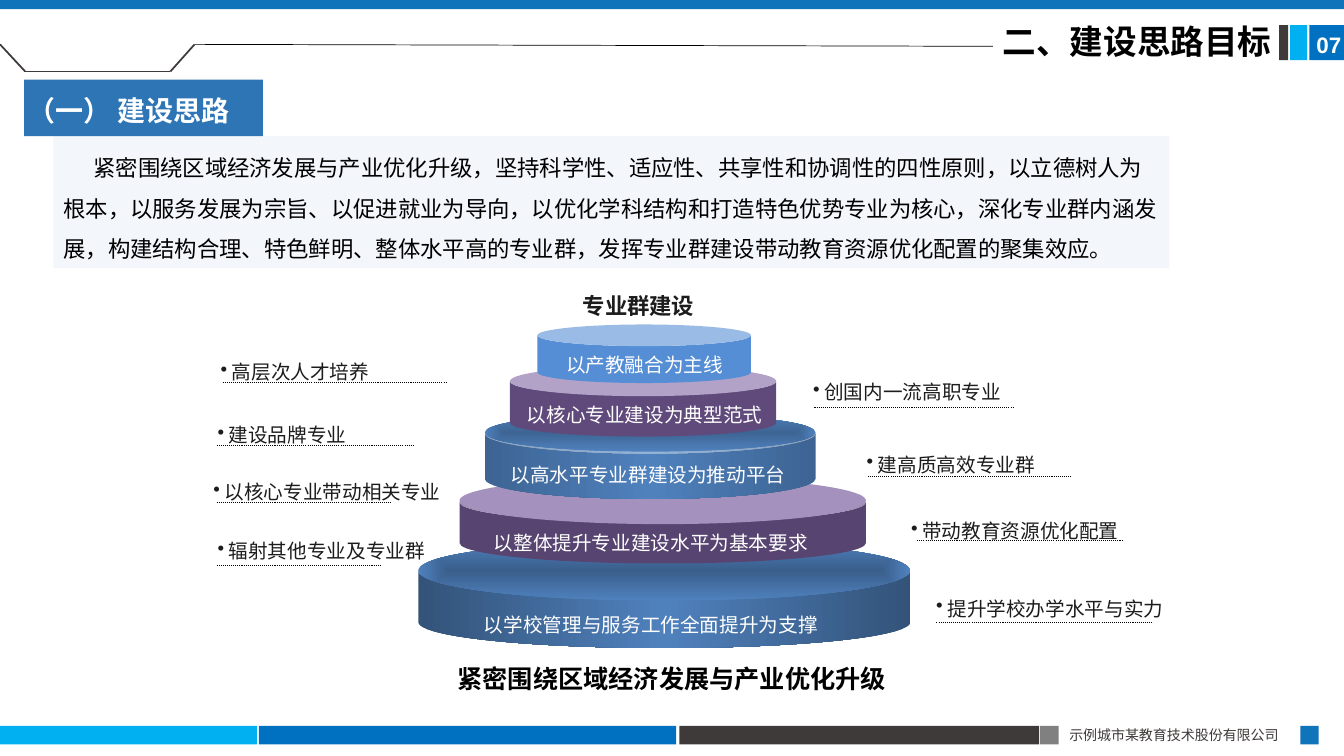
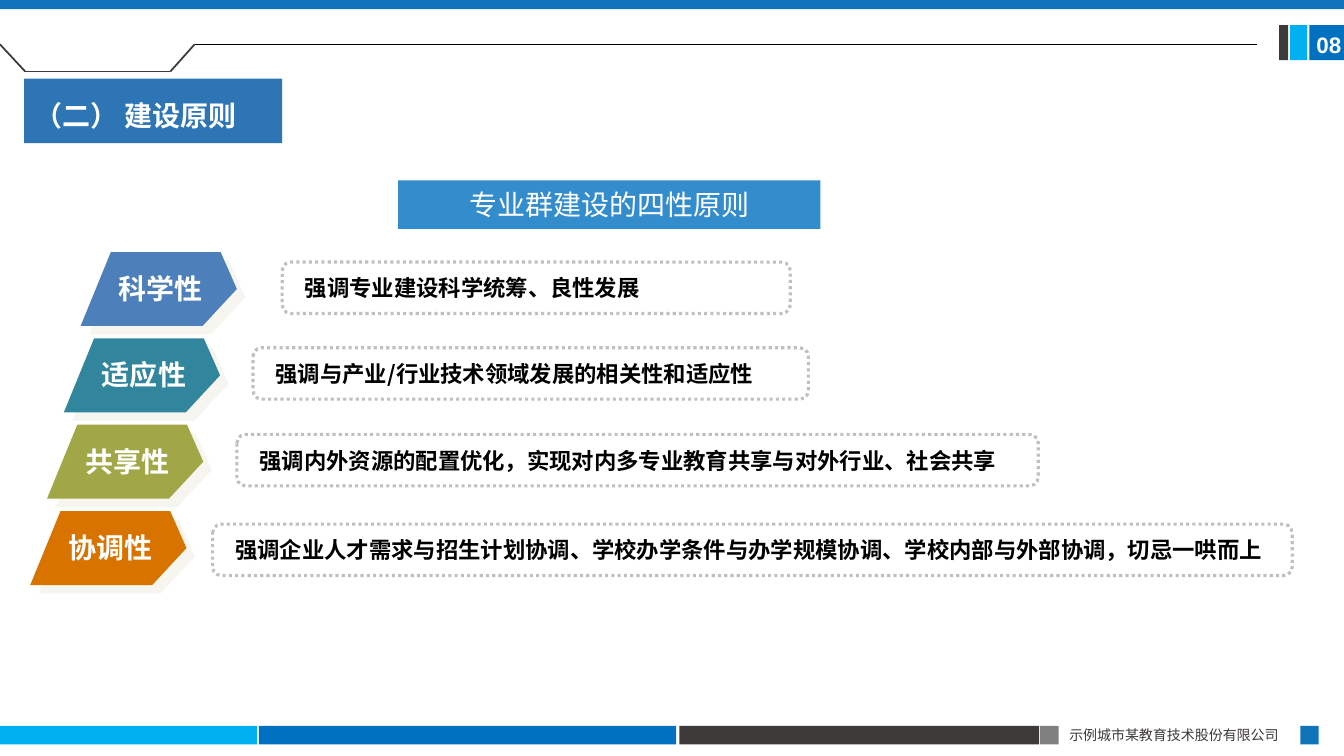
"""Build two slides on the thinking and principles of programme group construction."""
import itertools

import pptx
import pptx.dml.color
import pptx.enum.dml
import pptx.enum.shapes
import pptx.enum.text
import pptx.oxml
import pptx.oxml.ns
import pptx.util

Pt = pptx.util.Pt
SHAPE = pptx.enum.shapes.MSO_SHAPE
ALIGN = pptx.enum.text.PP_ALIGN
ANCHOR = pptx.enum.text.MSO_ANCHOR
qn = pptx.oxml.ns.qn
NAMESPACE = pptx.oxml.ns.nsdecls("a")

FONT = "Noto Sans CJK SC"
BLACK, WHITE, DARK, INK = "000000", "FFFFFF", "3E3A39", "1C1C1C"
BLUE, CYAN, BAND, HEADING, GRAY = "0070C0", "00B0F0", "1074BB", "2E75B6", "808080"
INSET = (7.2, 3.6, 7.2, 3.6)

TIERS = [
    ("以学校管理与服务工作全面提升为支撑", (298.8, 389.5, 351.4, 73.4), 0.5,
     ("335379", "4F81BD", "335379"), (385.9, 43.2), ("3A5F8C", "4F81BD"), 465, 434.2),
    ("以整体提升专业建设水平为基本要求", (328.3, 344.2, 290.2, 58.3), 0.5,
     "584470", (340.6, 33.8), "A591BD", 465, 375.8),
    ("以高水平专业群建设为推动平台", (346.3, 295.2, 236.2, 61.2), 0.47,
     ("3D6493", "4F81BD", "3D6493"), (295.2, 27.4), ("3D6493", "4F81BD"), 463, 326.9),
    ("以核心专业建设为典型范式", (364.3, 262.8, 190.1, 49), 0.4,
     "604A7B", (261.4, 21.6), "B3A2C7", 460.5, 284.4),
    ("以产教融合为主线", (383.8, 231.8, 152.6, 41.8), 0.37,
     "558ED5", None, None, 460.5, 248.4),
]

NOTES = [
    ("高层次人才培养", 150.5, 253.4, 159.1, 319.7, 272.9),
    ("建设品牌专业", 148.3, 298.8, 154.8, 295.2, 318.2),
    ("以核心专业带动相关专业", 145.4, 339.1, 154.8, 279.4, 358.6),
    ("辐射其他专业及专业群", 148.3, 381.6, 154.8, 272.2, 403.9),
    ("创国内一流高职专业", 573.8, 267.8, 581.8, 724.3, 290.9),
    ("建高质高效专业群", 612, 319.7, 619.9, 765.4, 340.6),
    ("带动教育资源优化配置", 643.7, 367.2, 655.2, 802.1, 385.9),
    ("提升学校办学水平与实力", 661.7, 422.6, 668.9, 823, 445),
]

PRINCIPLES = [
    ("科学性", "4D7FBB", "强调专业建设科学统筹、良性发展", 201.6, 187.2, 362.9),
    ("适应性", "31859C", "强调与产业/行业技术领域发展的相关性和适应性", 180.7, 248.4, 396.7),
    ("共享性", "A1A646", "强调内外资源的配置优化，实现对内多专业教育共享与对外行业、社会共享",
     169.2, 310.3, 572.4),
    ("协调性", "D97300",
     "强调企业人才需求与招生计划协调、学校办学条件与办学规模协调、学校内部与外部协调，切忌一哄而上",
     151.9, 374.4, 771.1),
]


def color(value):
    """Turn a hex string into a colour."""
    return pptx.dml.color.RGBColor.from_string(value)


def write_text(box, text, size=14, fill=BLACK, bold=False, font=FONT, align=ALIGN.LEFT,
               anchor=ANCHOR.TOP, inset=INSET, spacing=None, indent=0, bullet=None):
    """Write one formatted paragraph into a shape."""
    frame = box.text_frame
    frame.word_wrap = True
    frame.vertical_anchor = anchor
    frame.margin_left, frame.margin_top, frame.margin_right, frame.margin_bottom = map(Pt, inset)
    para = frame.paragraphs[0]
    para.alignment = align
    if spacing:
        para.line_spacing = spacing
    properties = para._p.get_or_add_pPr()
    properties.set("indent", str(Pt(indent)))
    if bullet:
        properties.set("marL", str(Pt(-indent)))
        properties.append(pptx.oxml.parse_xml(f'<a:buChar {NAMESPACE} char="{bullet}"/>'))
    span = para.add_run()
    span.text = text
    span.font.size = Pt(size)
    span.font.bold = bold
    span.font.color.rgb = color(fill)
    span.font.name = font
    span._r.get_or_add_rPr().append(
        pptx.oxml.parse_xml(f'<a:ea {NAMESPACE} typeface="{font}"/>'))


def add_text(slide, place, text, **style):
    """Add a text box."""
    write_text(slide.shapes.add_textbox(*map(Pt, place)), text, **style)


def gradient(stops):
    """Make a linear gradient from three colours or a centred one from two."""
    step = 100000 // (len(stops) - 1)
    marks = "".join(f'<a:gs pos="{index * step}"><a:srgbClr val="{stop}"/></a:gs>'
                    for index, stop in enumerate(stops))
    course = ('<a:lin ang="0" scaled="0"/>' if len(stops) == 3 else
              '<a:path path="shape"><a:fillToRect l="50000" t="50000" r="50000" b="50000"/></a:path>')
    return pptx.oxml.parse_xml(
        f'<a:gradFill {NAMESPACE}><a:gsLst>{marks}</a:gsLst>{course}</a:gradFill>')


def paint(shape, fill, alpha=None):
    """Give a shape a flat or gradient fill without outline or shadow."""
    shape.shadow.inherit = False
    shape.line.fill.background()
    shape.fill.solid()
    properties = shape._element.spPr
    solid = properties.find(qn("a:solidFill"))
    if isinstance(fill, tuple):
        properties.replace(solid, gradient(fill))
        return
    shape.fill.fore_color.rgb = color(fill)
    if alpha:
        solid[0].append(
            pptx.oxml.parse_xml(f'<a:alpha {NAMESPACE} val="{alpha * 1000}"/>'))


def add_shape(slide, place, fill, kind=SHAPE.RECTANGLE, alpha=None):
    """Add a filled preset shape."""
    shape = slide.shapes.add_shape(kind, *map(Pt, place))
    paint(shape, fill, alpha)
    return shape


def add_line(slide, start, end, stroke=BLACK, width=0.75, dotted=False):
    """Add a straight line."""
    line = slide.shapes.add_connector(
        pptx.enum.shapes.MSO_CONNECTOR.STRAIGHT, *map(Pt, start + end))
    line.line.color.rgb = color(stroke)
    line.line.width = Pt(width)
    if dotted:
        line.line.dash_style = pptx.enum.dml.MSO_LINE.ROUND_DOT
    line._element.spPr.append(pptx.oxml.parse_xml(f"<a:effectLst {NAMESPACE}/>"))


def add_frame(slide, number, rule_end):
    """Draw the bands, footer, tab outline and page number."""
    for left, width, fill in [(0, 183.6, CYAN), (185, 298, BLUE), (485.3, 257, DARK),
                              (743, 13.2, GRAY), (928.8, 13.2, BAND)]:
        add_shape(slide, (left, 518.5, width, 13.2), fill)
    add_text(slide, (756.7, 515.5, 172.8, 19.4), "示例城市某教育技术股份有限公司",
             size=10, fill=DARK, align=ALIGN.JUSTIFY)
    for left, width, fill in [(935.3, 24.7, BLUE), (921.6, 12.2, CYAN), (913.7, 6.5, DARK)]:
        add_shape(slide, (left, 18, width, 25), fill)
    add_shape(slide, (0, 0, 960, 6.5), BAND)
    tab = [(0, 31.7), (18, 51.1), (121.7, 51.1), (139, 31.7)]
    for start, end in itertools.pairwise(tab):
        add_line(slide, start, end, DARK, 1.25)
    add_line(slide, tab[-1], rule_end, width=0.5)
    add_text(slide, (940.3, 22.3, 19.7, 20), number, size=16, fill=WHITE, bold=True,
             font="Arial", inset=(0, 0, 0, 0))


def add_heading(slide, text, place, inset):
    """Add the blue section heading."""
    write_text(add_shape(slide, place, HEADING), text, size=20, fill=WHITE, bold=True,
               spacing=1.3, inset=inset)


def add_tier(slide, text, body, depth, fill, lid, lid_fill, center, top):
    """Add one drum of the tower with its lid and label."""
    drum = add_shape(slide, body, fill, SHAPE.CAN)
    drum.adjustments[0] = depth
    if lid:
        left, _, width, _ = body
        add_shape(slide, (left, lid[0], width, lid[1]), lid_fill, SHAPE.OVAL)
    add_text(slide, (center - 185, top, 370, 24.5), text, fill=WHITE, align=ALIGN.CENTER)


def add_note(slide, text, left, top, line_start, line_end, line_top):
    """Add a bulleted note over a dotted line."""
    add_text(slide, (left, top, 185, 24.5), text, fill=INK, bullet="•", indent=-8)
    add_line(slide, (line_start, line_top), (line_end, line_top), dotted=True)


def add_arrow(slide, left, top, text, fill):
    """Add a slanted arrow label with an offset shadow."""
    outline = [(21.6, 0), (100, 0), (111.6, 26.4), (87.1, 52.8), (0, 52.8)]
    corners = [(Pt(left + x), Pt(top + y)) for x, y in outline]
    builder = slide.shapes.build_freeform(*corners[0])
    builder.add_line_segments(corners[1:], close=True)
    arrow = builder.convert_to_shape()
    paint(arrow, fill)
    arrow._element.spPr.find(qn("a:effectLst")).append(pptx.oxml.parse_xml(
        f'<a:outerShdw {NAMESPACE} blurRad="0" dist="{Pt(8.5)}" dir="2700000" algn="tl" '
        'rotWithShape="0"><a:srgbClr val="EEECE1"><a:alpha val="50000"/></a:srgbClr></a:outerShdw>'))
    write_text(arrow, text, size=20, fill=WHITE, bold=True, inset=(27.2, 13.8, 0, 0))


def add_statement(slide, text, left, top, width):
    """Add a dotted rounded box with a bold statement."""
    box = slide.shapes.add_shape(SHAPE.ROUNDED_RECTANGLE, *map(Pt, (left, top, width, 36.7)))
    box.shadow.inherit = False
    box.fill.background()
    box.line.color.rgb = color("C0C0C0")
    box.line.width = Pt(2.25)
    box.line.dash_style = pptx.enum.dml.MSO_LINE.ROUND_DOT
    write_text(box, text, size=16, bold=True, anchor=ANCHOR.MIDDLE, inset=(14.4, 3.6, 7.2, 3.6))


def build_thinking(slide):
    """Fill the slide on the construction thinking."""
    add_frame(slide, "07", (709.2, 33.1))
    add_text(slide, (709.2, 14.4, 211.7, 36), "二、建设思路目标", size=24, bold=True, spacing=0.9)
    panel = add_shape(slide, (38.2, 97.2, 797, 94.3), "F3F6FB")
    write_text(panel, "紧密围绕区域经济发展与产业优化升级，坚持科学性、适应性、共享性和协调性的四性原则，"
               "以立德树人为根本，以服务发展为宗旨、以促进就业为导向，以优化学科结构和打造特色优势专业为核心，"
               "深化专业群内涵发展，构建结构合理、特色鲜明、整体水平高的专业群，"
               "发挥专业群建设带动教育资源优化配置的聚集效应。", size=16, spacing=1.5, indent=21.5)
    for tier in TIERS:
        add_tier(slide, *tier)
    for note in NOTES:
        add_note(slide, *note)
    add_text(slide, (320, 205.2, 272.2, 26.6), "专业群建设", size=16, fill=INK, bold=True,
             align=ALIGN.CENTER)
    add_text(slide, (319.7, 470.2, 330, 28.8), "紧密围绕区域经济发展与产业优化升级", size=18, bold=True)
    add_heading(slide, "（一） 建设思路", (17.3, 56.9, 170.6, 40.3), (2.1, 2.9, 0, 0))


def build_principles(slide):
    """Fill the slide on the four principles."""
    add_frame(slide, "08", (897.8, 31.7))
    banner = add_shape(slide, (284.4, 128.9, 301.7, 34.6), BLUE, alpha=80)
    write_text(banner, "专业群建设的四性原则", size=20, fill=WHITE, align=ALIGN.CENTER,
               inset=(10.8, 5, 10.8, 5))
    for row, (name, fill, statement, left, top, width) in enumerate(PRINCIPLES):
        add_arrow(slide, 57.6 - 12 * row, 180 + 61.7 * row, name, fill)
        add_statement(slide, statement, left, top, width)
    add_heading(slide, "（二） 建设原则", (17.3, 56.2, 184.3, 46.1), (7.2, 7.2, 0, 0))


def main():
    """Build and save the deck."""
    deck = pptx.Presentation()
    deck.slide_width, deck.slide_height = Pt(960), Pt(540)
    for build in (build_thinking, build_principles):
        build(deck.slides.add_slide(deck.slide_layouts[6]))
    deck.save("out.pptx")


if __name__ == "__main__":
    main()
